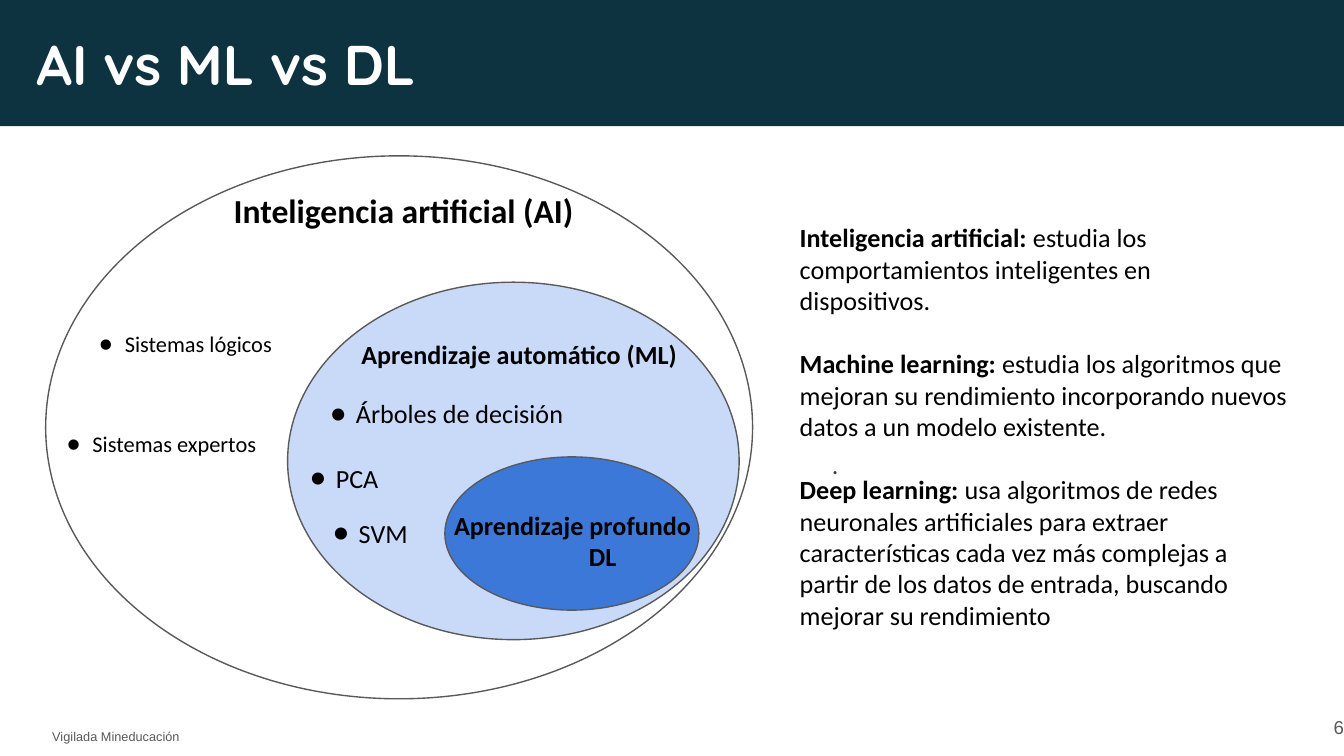
from lxml import etree
from pptx import Presentation
from pptx import util as u
from pptx.dml.color import RGBColor
from pptx.enum import shapes, text
from pptx.oxml.ns import qn

COLORS = {
    "band": "0D3240", "white": "FFFFFF", "black": "000000", "gray": "595959",
    "dot": "434343", "light": "C9DAF8", "blue": "3C78D8",
}
CELL = u.Inches(0.1)  # grid of 100 columns by 56.25 rows


def place(shape, left, top, width, height, fill=None):
    """Put a shape on the grid and, when a fill is named, paint it flat."""
    shape.left, shape.top = round(left * CELL), round(top * CELL)
    shape.width, shape.height = round(width * CELL), round(height * CELL)
    if fill:
        shape.shadow.inherit = False
        shape.fill.solid()
        shape.fill.fore_color.rgb = RGBColor.from_string(COLORS[fill])
        shape.line.fill.background()
    return shape


def write(shape, lines, size, color="black", font="Calibri", bold=False,
          inset=(1, 1), bullet=None):
    """Fill a shape with left-aligned paragraphs; inset is across and down."""
    frame = shape.text_frame
    frame.text = "\n".join(lines)
    frame.word_wrap = True
    frame.auto_size = text.MSO_AUTO_SIZE.NONE
    frame.vertical_anchor = text.MSO_ANCHOR.TOP
    frame.margin_left = frame.margin_right = round(inset[0] * CELL)
    frame.margin_top = frame.margin_bottom = round(inset[1] * CELL)
    for paragraph in frame.paragraphs:
        paragraph.alignment = text.PP_ALIGN.LEFT
        paragraph.space_before = u.Pt(0)
        properties = paragraph._p.get_or_add_pPr()
        properties.set("marL", str(u.Inches(0.19) if bullet else 0))
        properties.set("indent", str(u.Inches(-0.22) if bullet else 0))
        if bullet:
            etree.SubElement(properties, qn("a:buFont")).set("typeface", font)
            etree.SubElement(properties, qn("a:buChar")).set("char", bullet)
        else:
            etree.SubElement(properties, qn("a:buNone"))
        paragraph.font.name = font
        paragraph.font.size = u.Pt(size)
        paragraph.font.bold = bold
        paragraph.font.color.rgb = RGBColor.from_string(COLORS[color])
    return frame


presentation = Presentation()
presentation.slide_width, presentation.slide_height = 100 * CELL, round(56.25 * CELL)
slide = presentation.slides.add_slide(presentation.slide_layouts[1])
title, body = slide.placeholders

# Title band and footer
band = slide.shapes.add_shape(shapes.MSO_SHAPE.RECTANGLE, 0, 0, 0, 0)
place(band, 0, 0, 100, 9.4, "band")
title.element.addprevious(band.element)
place(title, 1.7, 1.2, 81.9, 9.8)
write(title, ["AI vs ML vs DL"], 30, "white", "Quicksand", bold=True)

footer = slide.shapes.add_shape(shapes.MSO_SHAPE.RECTANGLE, 0, 0, 0, 0)
place(footer, 2.9, 53.75, 20.8, 2.1, "white")
write(footer, ["Vigilada Mineducación"], 6.8, "gray", "Arial", inset=(1, 0.5))

page_number = place(slide.shapes.add_textbox(0, 0, 0, 0), 94, 51.95, 6, 4.3)
frame = write(page_number, ["6"], 10, "gray", "Arial", inset=(0, 0))
frame.vertical_anchor = text.MSO_ANCHOR.MIDDLE
frame.paragraphs[0].alignment = text.PP_ALIGN.RIGHT

dot = place(slide.shapes.add_textbox(0, 0, 0, 0), 61.9, 33, 34.8, 17.2)
frame = write(dot, ["."], 14, "dot", inset=(0, 0))
frame.paragraphs[0].line_spacing = 1.15

# Nested ellipses
diagram = slide.shapes.add_group_shape()
for left, top, width, height, fill in [
    (3.4, 11.6, 52.6, 40.4, "white"),
    (21.4, 21, 33.6, 26.6, "light"),
    (33.1, 34, 18.9, 11.4, "blue"),
]:
    ellipse = diagram.shapes.add_shape(shapes.MSO_SHAPE.OVAL, 0, 0, 0, 0)
    place(ellipse, left, top, width, height, fill)
    ellipse.line.color.rgb = RGBColor.from_string(COLORS["gray"])
    ellipse.line.width = u.Pt(0.75)

for left, top, width, height, size, lines in [
    (16.4, 13.1, 28.4, 4.4, 18, ["Inteligencia artificial (AI)"]),
    (25.9, 24.2, 32, 4.4, 14, ["Aprendizaje automático (ML)"]),
    (32.8, 36.9, 24.1, 3.7, 14, ["Aprendizaje profundo", "DL"]),
]:
    label = place(diagram.shapes.add_textbox(0, 0, 0, 0), left, top, width, height)
    frame = write(label, lines, size, bold=True)
    for paragraph in frame.paragraphs[1:]:
        paragraph.alignment = text.PP_ALIGN.CENTER

for left, top, width, size, example in [
    (6.4, 23.6, 18.4, 12, "Sistemas lógicos"),
    (4, 31, 20.6, 12, "Sistemas expertos"),
    (23.6, 28.6, 26.6, 14, "Árboles de decisión"),
    (22.1, 33.4, 21.1, 14, "PCA"),
    (23.8, 37.5, 9.9, 14, "SVM"),
]:
    item = place(diagram.shapes.add_textbox(0, 0, 0, 0), left, top, width, 3.7)
    write(item, [example], size, bullet="●")

# Definitions
definitions = {
    "Inteligencia artificial:": " estudia los comportamientos inteligentes en dispositivos.",
    "Machine learning:": " estudia los algoritmos que mejoran su rendimiento "
                         "incorporando nuevos datos a un modelo existente.",
    "Deep learning:": " usa algoritmos de redes neuronales artificiales para extraer "
                      "características cada vez más complejas a partir de los datos de "
                      "entrada, buscando mejorar su rendimiento",
}
place(body, 58.5, 16, 38.3, 34)
frame = write(body, definitions, 14, inset=(1, 0.5))
for index, (paragraph, (term, meaning)) in enumerate(
        zip(frame.paragraphs, definitions.items())):
    paragraph.runs[0].font.bold = True
    paragraph.add_run().text = meaning
    if index:
        paragraph.space_before = u.Pt(17)

presentation.save("out.pptx")
